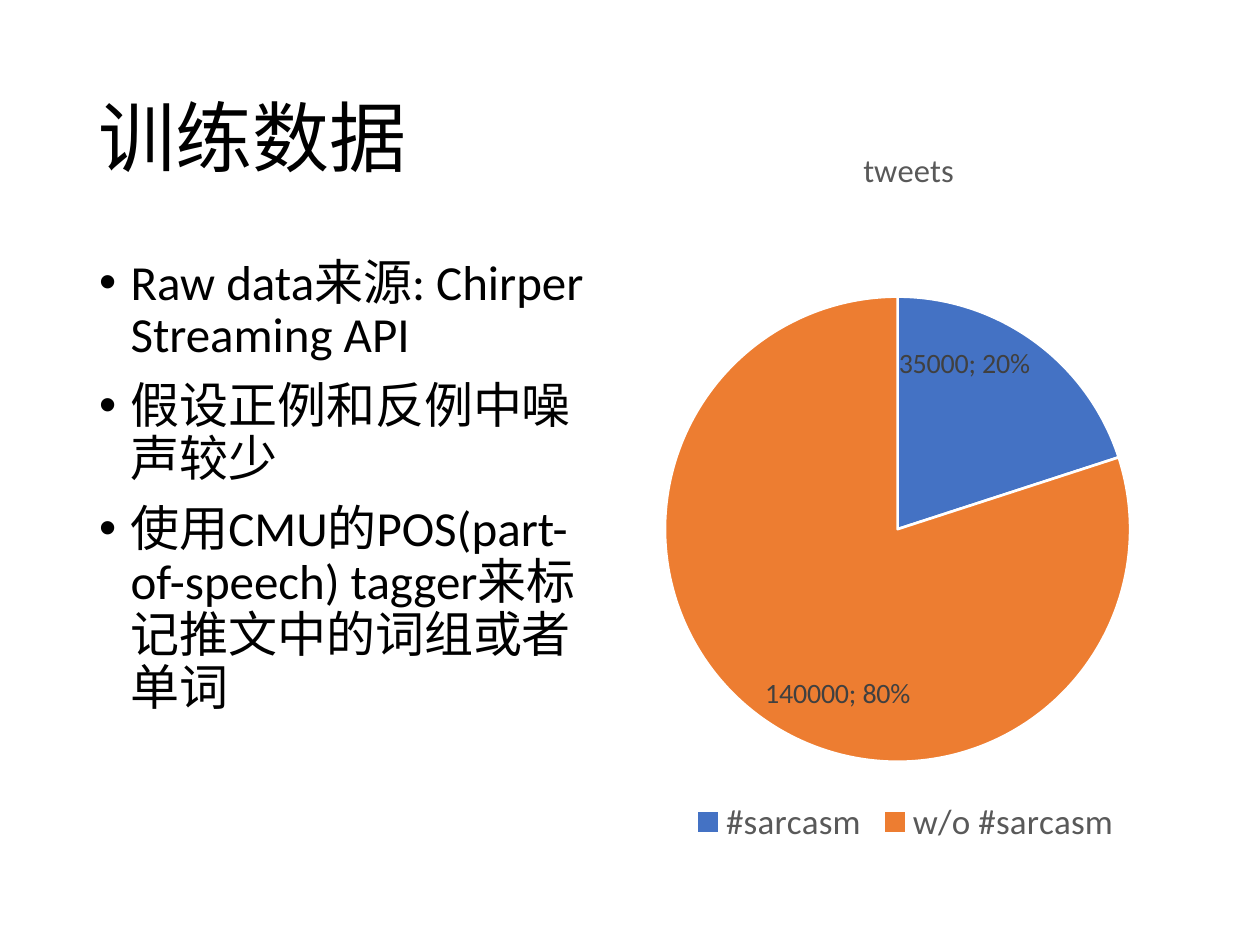
from dataclasses import dataclass

from lxml import etree
from pptx import Presentation
from pptx.chart.data import CategoryChartData
from pptx.dml.color import RGBColor
from pptx.enum.chart import XL_CHART_TYPE, XL_LABEL_POSITION, XL_LEGEND_POSITION
from pptx.enum.text import MSO_ANCHOR
from pptx.oxml import parse_xml
from pptx.oxml.ns import nsdecls, qn
from pptx.util import Pt

PIE = XL_CHART_TYPE.PIE
INSIDE_END = XL_LABEL_POSITION.INSIDE_END
BOTTOM = XL_LEGEND_POSITION.BOTTOM
TOP, MIDDLE = MSO_ANCHOR.TOP, MSO_ANCHOR.MIDDLE

FONT = "Calibri"
BLACK = RGBColor(0x00, 0x00, 0x00)
WHITE = RGBColor(0xFF, 0xFF, 0xFF)
GREY = RGBColor(0x59, 0x59, 0x59)
DARK_GREY = RGBColor(0x40, 0x40, 0x40)
BLUE = RGBColor(0x44, 0x72, 0xC4)
ORANGE = RGBColor(0xED, 0x7D, 0x31)


@dataclass(frozen=True)
class Box:
    left: float
    top: float
    width: float
    height: float

    def lengths(self) -> tuple:
        return Pt(self.left), Pt(self.top), Pt(self.width), Pt(self.height)


@dataclass(frozen=True)
class Category:
    name: str
    tweets: int
    color: RGBColor


HEADING_BOX = Box(49.5, 28.75, 621, 104.4)
POINTS_BOX = Box(49.5, 143.75, 306, 342.6)
CHART_BOX = Box(364.5, 64, 306, 422)

POINTS = [
    "Raw data来源: Chirper Streaming API",
    "假设正例和反例中噪声较少",
    "使用CMU的POS(part-of-speech) tagger来标记推文中的词组或者单词",
]
CATEGORIES = [
    Category("#sarcasm", 35000, BLUE),
    Category("w/o #sarcasm", 140000, ORANGE),
]


def style_font(font, size: float, color: RGBColor) -> None:
    font.name = FONT
    font.size = Pt(size)
    font.bold = False
    font.color.rgb = color


def add_text(slide, box: Box, lines: list, size: float, anchor, bulleted: bool = False) -> None:
    frame = slide.shapes.add_textbox(*box.lengths()).text_frame
    frame.word_wrap = True
    frame.vertical_anchor = anchor
    frame.text = "\n".join(lines)
    for paragraph in frame.paragraphs:
        paragraph.line_spacing = 0.9
        for run in paragraph.runs:
            style_font(run.font, size, BLACK)
        if bulleted:
            paragraph.space_before = Pt(10)
            properties = paragraph._p.get_or_add_pPr()
            properties.set("marL", str(Pt(18)))
            properties.set("indent", str(-Pt(18)))
            etree.SubElement(properties, qn("a:buFont")).set("typeface", "Arial")
            etree.SubElement(properties, qn("a:buChar")).set("char", "•")


def place(element, index: int, **fractions: float) -> None:
    """Give a chart part a manual layout, in fractions of the chart."""
    for old in element.findall(qn("c:layout")):
        element.remove(old)
    layout = parse_xml(f"<c:layout {nsdecls('c')}><c:manualLayout/></c:layout>")
    settings = {"xMode": "edge", "yMode": "edge", **fractions}
    for name, value in settings.items():
        etree.SubElement(layout[0], qn(f"c:{name}")).set("val", str(value))
    element.insert(index, layout)


def add_tweet_chart(slide) -> None:
    data = CategoryChartData()
    data.categories = [category.name for category in CATEGORIES]
    data.add_series("tweets", [category.tweets for category in CATEGORIES])
    chart = slide.shapes.add_chart(PIE, *CHART_BOX.lengths(), data).chart
    style_font(chart.font, 10, BLACK)

    # Title and legend
    chart.has_title = True
    heading = chart.chart_title.text_frame
    heading.text = "tweets"
    style_font(heading.paragraphs[0].runs[0].font, 18.6, GREY)
    chart.chart_title.include_in_layout = False
    place(chart.chart_title._element, 1, x=0.41, y=0.04)
    chart.has_legend = True
    chart.legend.position = BOTTOM
    chart.legend.include_in_layout = False
    style_font(chart.legend.font, 20, GREY)

    # Slices
    plot = chart.plots[0]
    plot.vary_by_categories = True
    place(plot._element.getparent(), 0, x=0.05, y=0.25, w=0.87, h=0.63)
    series = plot.series[0]
    for index, category in enumerate(CATEGORIES):
        slice_format = series.points[index].format
        slice_format.fill.solid()
        slice_format.fill.fore_color.rgb = category.color
        slice_format.line.color.rgb = WHITE
        slice_format.line.width = Pt(1.5)

    # Value and share on each slice
    labels = series.data_labels
    labels.show_value = True
    labels.show_percentage = True
    labels.position = INSIDE_END
    style_font(labels.font, 16, DARK_GREY)
    separator = parse_xml(f"<c:separator {nsdecls('c')}>; </c:separator>")
    labels._element.find(qn("c:showBubbleSize")).addnext(separator)


def main() -> None:
    presentation = Presentation()
    presentation.slide_width, presentation.slide_height = Pt(720), Pt(540)
    slide = presentation.slides.add_slide(presentation.slide_layouts[6])
    add_text(slide, HEADING_BOX, ["训练数据"], 44, MIDDLE)
    add_text(slide, POINTS_BOX, POINTS, 28, TOP, bulleted=True)
    add_tweet_chart(slide)
    presentation.save("out.pptx")


if __name__ == "__main__":
    main()
